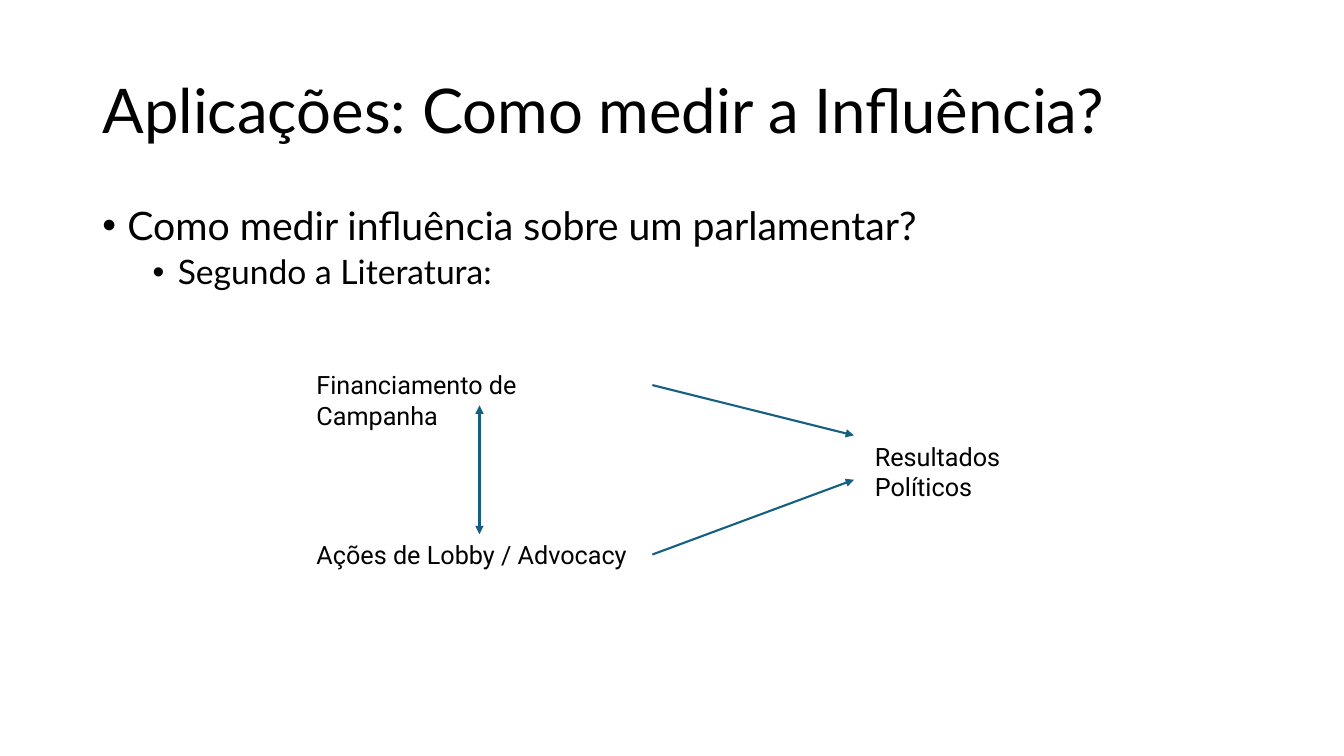
import pptx
import pptx.dml.color
import pptx.enum.shapes
import pptx.enum.text
import pptx.oxml.ns
import pptx.util
from lxml import etree

Pt = pptx.util.Pt
ANCHOR = pptx.enum.text.MSO_ANCHOR

# Content
TITLE = "Aplicações: Como medir a Influência?"
# text, size, left margin, space before
BULLETS = [
    ("Como medir influência sobre um parlamentar?", 28, 18, 0),
    ("Segundo a Literatura:", 24, 54, 5),
]
# name: text, left, top, width
FACTORS = {
    "funding": ("Financiamento de Campanha", 219, 260.6, 247),
    "lobby": ("Ações de Lobby / Advocacy", 219, 381.6, 247),
    "results": ("Resultados Políticos", 617.8, 311.8, 174),
}
FACTOR_HEIGHT = 29
BLACK, TEAL = "000000", "156082"
ARROW_END = 610
# factor, height at which its arrow meets the results
INFLUENCES = [("lobby", 342.7), ("funding", 311)]
TOP, BOTTOM, RIGHT = 0, 2, 3


def color(value):
    return pptx.dml.color.RGBColor.from_string(value)


def style(para, font, size):
    para.font.name = font
    para.font.size = Pt(size)
    para.font.color.rgb = color(BLACK)
    para.alignment = pptx.enum.text.PP_ALIGN.LEFT


def set_frame(box, anchor):
    frame = box.text_frame
    frame.word_wrap = True
    frame.auto_size = pptx.enum.text.MSO_AUTO_SIZE.NONE
    frame.vertical_anchor = anchor
    return frame


def add_box(page, left, top, width, height):
    box = page.shapes.add_textbox(Pt(left), Pt(top), Pt(width), Pt(height))
    set_frame(box, ANCHOR.TOP)
    return box


def add_bullet(para, margin):
    properties = para._p.get_or_add_pPr()
    properties.set("marL", str(Pt(margin)))
    properties.set("indent", str(-Pt(18)))
    for tag, key, value in (("a:buFont", "typeface", "Arial"), ("a:buChar", "char", "•")):
        etree.SubElement(properties, pptx.oxml.ns.qn(tag)).set(key, value)


def add_arrow(page, end_x=0, end_y=0, ends=("tailEnd",)):
    arrow = page.shapes.add_connector(
        pptx.enum.shapes.MSO_CONNECTOR.STRAIGHT, 0, 0, Pt(end_x), Pt(end_y))
    arrow.line.color.rgb = color(TEAL)
    arrow.line.width = Pt(1.5)
    line = arrow.line._get_or_add_ln()
    for end in ends:
        etree.SubElement(line, pptx.oxml.ns.qn("a:" + end)).set("type", "triangle")
    etree.SubElement(arrow._element.spPr, pptx.oxml.ns.qn("a:effectLst"))
    return arrow


def main():
    deck = pptx.Presentation()
    deck.slide_width, deck.slide_height = Pt(960), Pt(540)
    page = deck.slides.add_slide(deck.slide_layouts[5])

    # Title
    title = page.shapes.title
    title.left, title.top, title.width, title.height = Pt(66), Pt(28.8), Pt(828), Pt(104.4)
    title.text = TITLE
    para = set_frame(title, ANCHOR.MIDDLE).paragraphs[0]
    para.line_spacing = 0.9
    style(para, "Lato", 44)

    # Bullets
    frame = add_box(page, 66, 144, 828, 342.7).text_frame
    for index, (text, size, margin, before) in enumerate(BULLETS):
        para = frame.add_paragraph() if index else frame.paragraphs[0]
        para.text = text
        add_bullet(para, margin)
        para.line_spacing = 0.9
        if before:
            para.space_before = Pt(before)
        style(para, "Lato", size)

    # Factors and results
    boxes = {}
    for name, (text, left, top, width) in FACTORS.items():
        boxes[name] = add_box(page, left, top, width, FACTOR_HEIGHT)
        para = boxes[name].text_frame.paragraphs[0]
        para.text = text
        style(para, "Roboto", 18)

    # Arrows
    mutual = add_arrow(page, ends=("headEnd", "tailEnd"))
    mutual.begin_connect(boxes["funding"], BOTTOM)
    mutual.end_connect(boxes["lobby"], TOP)
    for name, height in INFLUENCES:
        add_arrow(page, ARROW_END, height).begin_connect(boxes[name], RIGHT)

    deck.save("out.pptx")


if __name__ == "__main__":
    main()
